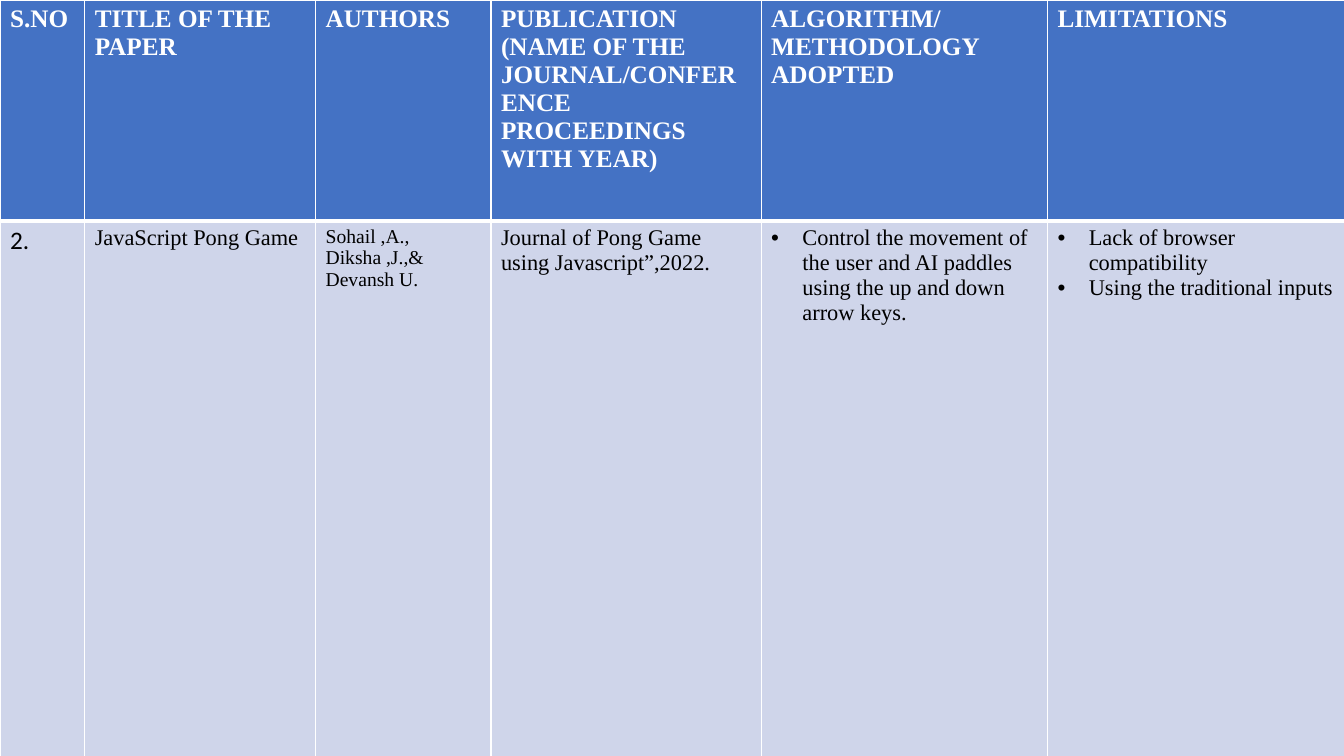
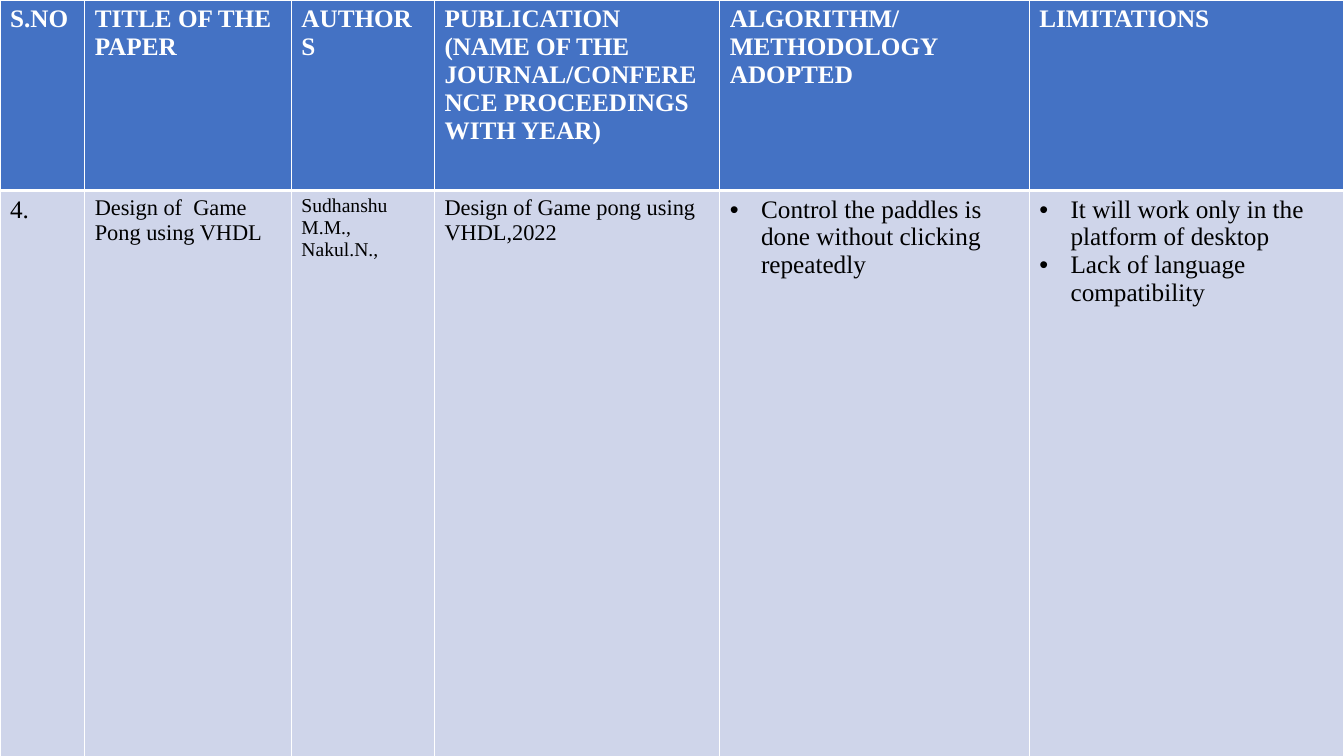
from dataclasses import dataclass

from lxml import etree
from pptx import Presentation
from pptx.dml.color import RGBColor
from pptx.oxml.ns import qn
from pptx.util import Inches, Pt

HEADINGS = [
    "S.NO",
    "TITLE OF THE PAPER",
    "AUTHORS",
    "PUBLICATION (NAME OF THE JOURNAL/CONFERENCE PROCEEDINGS WITH YEAR)",
    "ALGORITHM/METHODOLOGY ADOPTED",
    "LIMITATIONS",
]
BULLETED_COLUMNS = {4, 5}

PAPERS = [
    {
        "column_widths": [0.84, 2.29, 1.74, 2.68, 2.84, 2.97],
        "row_heights": [2.19, 6.24],
        "number_font": "Calibri",
        "sizes": [18, 16, 14, 16, 16, 16],
        "cells": [
            ["2."],
            ["JavaScript Pong Game"],
            ["Sohail ,A.,", "Diksha ,J.,&", "Devansh U."],
            ["Journal of Pong Game using Javascript”,2022."],
            ["Control the movement of the user and AI paddles using the up and down arrow keys."],
            ["Lack of browser compatibility", "Using the traditional inputs"],
        ],
    },
    {
        "column_widths": [0.84, 2.05, 1.42, 2.83, 3.07, 3.12],
        "row_heights": [1.89, 5.89],
        "number_font": "Times New Roman",
        "sizes": [18, 16, 14, 16, 18, 18],
        "cells": [
            ["4."],
            ["Design of  Game Pong using VHDL"],
            ["Sudhanshu M.M., Nakul.N.,"],
            ["Design of Game pong using VHDL,2022"],
            ["Control the paddles is done without clicking repeatedly"],
            ["It will work only in the platform of desktop", "Lack of language compatibility"],
        ],
    },
]


@dataclass(frozen=True)
class Theme:
    header_fill: str = "4472C4"
    body_fill: str = "CFD5EA"
    header_text: str = "FFFFFF"
    body_text: str = "000000"
    border: str = "FFFFFF"
    font: str = "Times New Roman"
    header_size: int = 18
    thin: float = 1
    thick: float = 3
    bullet_indent: float = 0.31


THEME = Theme()
BLANK_LAYOUT = 6


def set_borders(cell, top, bottom):
    properties = cell._tc.get_or_add_tcPr()
    widths = {"a:lnL": THEME.thin, "a:lnR": THEME.thin, "a:lnT": top, "a:lnB": bottom}
    for position, (tag, width) in enumerate(widths.items()):
        line = etree.Element(qn(tag), w=str(Pt(width)))
        fill = etree.SubElement(line, qn("a:solidFill"))
        etree.SubElement(fill, qn("a:srgbClr"), val=THEME.border)
        properties.insert(position, line)


def add_bullet(paragraph):
    properties = paragraph._p.get_or_add_pPr()
    indent = Inches(THEME.bullet_indent)
    properties.set("marL", str(indent))
    properties.set("indent", str(-indent))
    etree.SubElement(properties, qn("a:buFont"), typeface="Arial")
    etree.SubElement(properties, qn("a:buChar"), char="•")


def fill_cell(cell, lines, size, font, header=False, bulleted=False):
    cell.fill.solid()
    cell.fill.fore_color.rgb = RGBColor.from_string(
        THEME.header_fill if header else THEME.body_fill
    )
    if header:
        set_borders(cell, THEME.thin, THEME.thick)
    else:
        set_borders(cell, THEME.thick, THEME.thin)
    cell.text_frame.text = "\n".join(lines)
    for paragraph in cell.text_frame.paragraphs:
        if bulleted:
            add_bullet(paragraph)
        paragraph.font.name = font
        paragraph.font.size = Pt(size)
        paragraph.font.bold = header
        paragraph.font.color.rgb = RGBColor.from_string(
            THEME.header_text if header else THEME.body_text
        )


def add_paper_slide(presentation, paper):
    slide = presentation.slides.add_slide(presentation.slide_layouts[BLANK_LAYOUT])
    widths, heights = paper["column_widths"], paper["row_heights"]
    table = slide.shapes.add_table(
        len(heights), len(widths), 0, 0, Inches(sum(widths)), Inches(sum(heights))
    ).table
    for column, width in zip(table.columns, widths):
        column.width = Inches(width)
    for row, height in zip(table.rows, heights):
        row.height = Inches(height)
    for index, heading in enumerate(HEADINGS):
        fill_cell(table.cell(0, index), [heading], THEME.header_size, THEME.font, header=True)
        fill_cell(
            table.cell(1, index),
            paper["cells"][index],
            paper["sizes"][index],
            THEME.font if index else paper["number_font"],
            bulleted=index in BULLETED_COLUMNS,
        )


def main():
    presentation = Presentation()
    presentation.slide_width = Inches(13.33)
    presentation.slide_height = Inches(7.5)
    for paper in PAPERS:
        add_paper_slide(presentation, paper)
    presentation.save("out.pptx")


if __name__ == "__main__":
    main()
